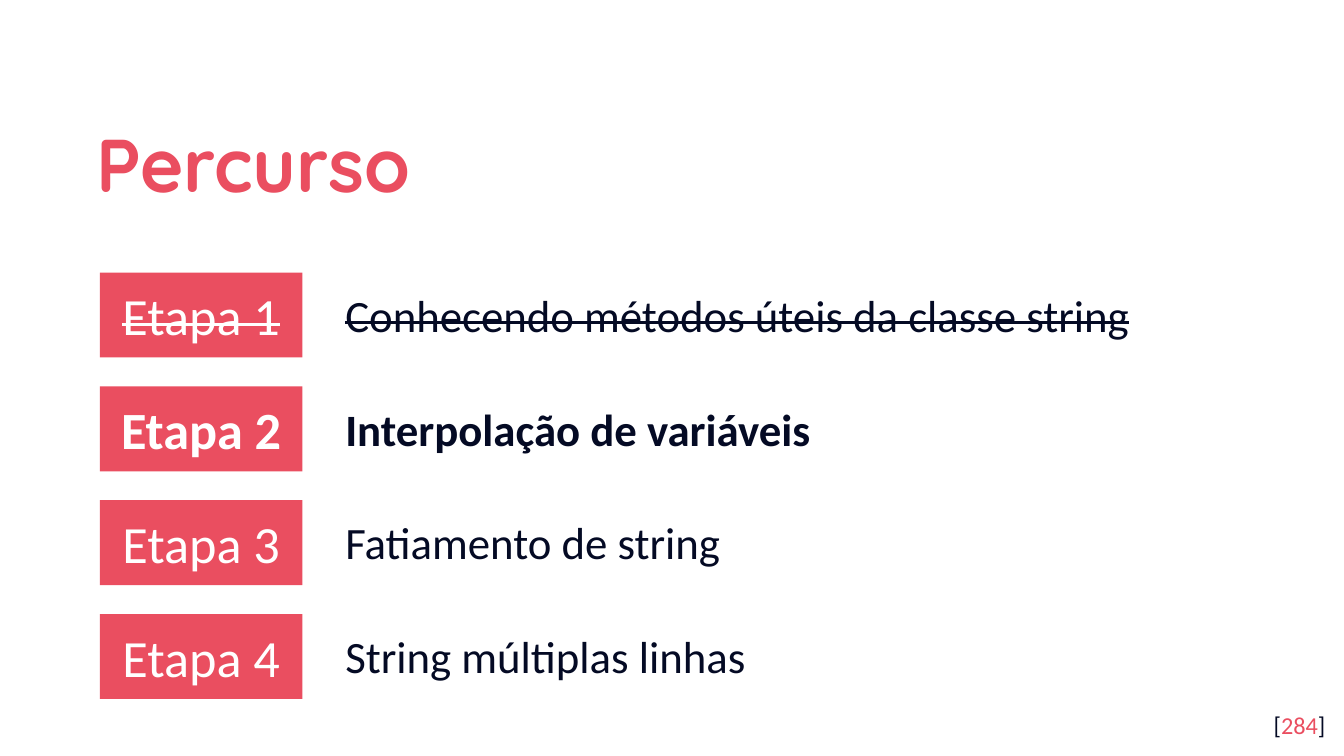
import pptx
import pptx.util
import pptx.dml.color
import pptx.enum.shapes
import pptx.enum.text

RGB = pptx.dml.color.RGBColor
ALIGN = pptx.enum.text.PP_ALIGN
ANCHOR = pptx.enum.text.MSO_ANCHOR

CORAL = RGB(0xEA, 0x4E, 0x60)
NAVY = RGB(0x04, 0x0A, 0x24)
WHITE = RGB(0xFF, 0xFF, 0xFF)
SCALE = 6350  # EMU in one px, 144 px to the inch


def px(n):
    return pptx.util.Emu(n * SCALE)


class Deck:
    """Holds the style and the current slide."""

    font = "Calibri"
    inset = 14

    def __init__(self, wide, high):
        self.prs = pptx.Presentation()
        self.prs.slide_width, self.prs.slide_height = px(wide), px(high)
        self.slide = self.prs.slides.add_slide(self.prs.slide_layouts[5])

    def label(self, shape, runs, size, align=ALIGN.LEFT, anchor=ANCHOR.TOP,
              font=None, bold=False, strike=False, pad=None):
        """Fill a shape with one paragraph of (text, colour) runs."""
        frame = shape.text_frame
        pad = self.inset if pad is None else pad
        form = {"word_wrap": True, "vertical_anchor": anchor,
                "auto_size": pptx.enum.text.MSO_AUTO_SIZE.NONE,
                "margin_left": px(self.inset), "margin_right": px(self.inset),
                "margin_top": px(pad), "margin_bottom": px(pad)}
        for key, val in form.items():
            setattr(frame, key, val)
        para = frame.paragraphs[0]
        para.alignment = align
        for text, tint in runs:
            run = para.add_run()
            run.text = text
            run.font.color.rgb = tint
            form = {"name": font or self.font, "size": pptx.util.Pt(size),
                    "bold": bold}
            for key, val in form.items():
                setattr(run.font, key, val)
            if strike:
                run._r.get_or_add_rPr().set("strike", "sngStrike")
        return para

    def title(self, box, text):
        shape = self.slide.shapes.title
        for key, val in zip(("left", "top", "width", "height"), box):
            setattr(shape, key, px(val))
        para = self.label(shape, [(text, CORAL)], 40, anchor=ANCHOR.MIDDLE,
                          font="Quicksand", bold=True)
        para.line_spacing = 1.15

    def text(self, box, runs, size, **form):
        shape = self.slide.shapes.add_textbox(*map(px, box))
        self.label(shape, runs, size, **form)

    def block(self, box, text, **form):
        kind = pptx.enum.shapes.MSO_SHAPE.RECTANGLE
        shape = self.slide.shapes.add_shape(kind, *map(px, box))
        shape.shadow.inherit = False
        shape.fill.solid()
        shape.fill.fore_color.rgb = CORAL
        shape.line.fill.background()
        self.label(shape, [(text, WHITE)], 28, align=ALIGN.CENTER,
                   anchor=ANCHOR.MIDDLE, **form)


def main():
    deck = Deck(1440, 810)

    # Title and page number
    deck.title((89, 101, 1166, 132), "Percurso")
    deck.text((1348, 747, 86, 62),
              [("[", NAVY), ("284", CORAL), ("]", NAVY)], 13,
              align=ALIGN.RIGHT)

    # Steps: the first is done, the second is current
    steps = [
        ("Conhecendo métodos úteis da classe string", {"strike": True}),
        ("Interpolação de variáveis", {"bold": True}),
        ("Fatiamento de string", {}),
        ("String múltiplas linhas", {}),
    ]
    top, pitch = 292, 122
    for i, (topic, form) in enumerate(steps):
        y = top + i * pitch
        deck.block((107, y, 217, 91), f"Etapa {i + 1}", **form)
        deck.text((356, y + 9, 972, 72), [(topic, NAVY)], 24, pad=7, **form)

    deck.prs.save("out.pptx")


if __name__ == "__main__":
    main()
